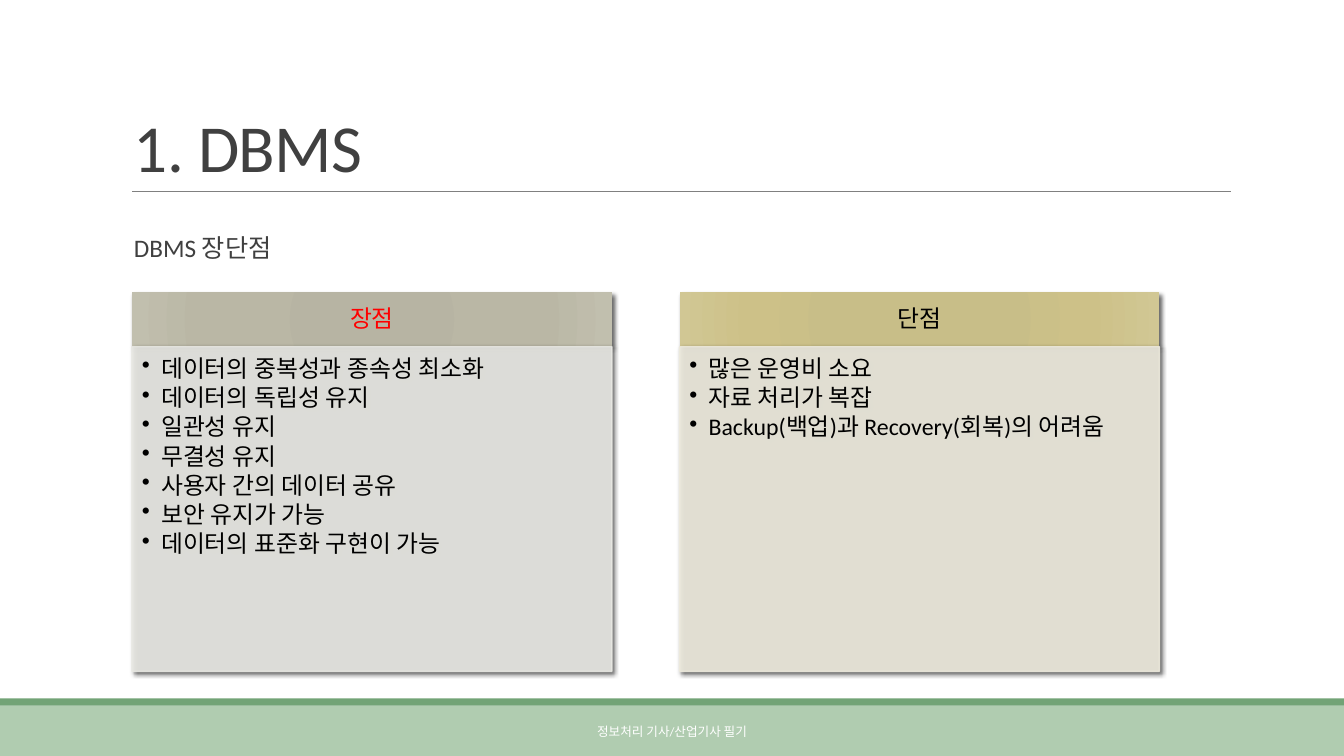
from dataclasses import dataclass

from pptx import Presentation
from pptx.dml.color import RGBColor
from pptx.enum.shapes import MSO_CONNECTOR as Connector, MSO_SHAPE as Shape
from pptx.enum.text import MSO_ANCHOR as Anchor, PP_ALIGN as Align
from pptx.oxml import parse_xml
from pptx.oxml.ns import nsdecls
from pptx.util import Inches, Pt


@dataclass(frozen=True)
class Theme:
    font: str = "Calibri"
    ink: str = "404040"
    black: str = "000000"
    white: str = "FFFFFF"
    red: str = "FF0000"
    rule: str = "808080"
    band: str = "B0CCB0"
    stripe: str = "72A376"
    pros_head: tuple = ("B5B3A1", "B7B4A3", "BAB7A5", "C1BFAE")
    pros_body: str = "E8E8E3"
    cons_head: tuple = ("C8BD85", "C8BE88", "CDC188", "D1C794")
    cons_body: str = "EDEADD"
    title: int = 48
    subtitle: int = 18
    panel: int = 17
    footer: int = 9


theme = Theme()
NS = nsdecls("a")


def write(box, lines, size, color, insets=(0.1, 0.05, 0.1, 0.05), anchor=Anchor.TOP, bullet=False, **layout):
    frame = box.text_frame
    sides = ("margin_left", "margin_top", "margin_right", "margin_bottom")
    settings = dict(zip(sides, map(Inches, insets)), word_wrap=True, vertical_anchor=anchor)
    for name, value in settings.items():
        setattr(frame, name, value)
    for index, line in enumerate(lines):
        para = frame.add_paragraph() if index else frame.paragraphs[0]
        for name, value in ({"alignment": Align.LEFT} | layout).items():
            setattr(para, name, value)
        if bullet:
            props = para._p.get_or_add_pPr()
            props.set("marL", str(Inches(0.19)))
            props.set("indent", str(Inches(-0.19)))
            props.append(parse_xml(f'<a:buChar {NS} char="•"/>'))
        span = para.add_run()
        span.text = line
        for name, value in {"name": theme.font, "size": Pt(size)}.items():
            setattr(span.font, name, value)
        span.font.color.rgb = RGBColor.from_string(color)


def add_block(page, left, top, width, height, color, shadow=False):
    block = page.shapes.add_shape(Shape.RECTANGLE, *map(Inches, (left, top, width, height)))
    block.shadow.inherit = False
    block.fill.solid()
    block.fill.fore_color.rgb = RGBColor.from_string(color)
    block.line.fill.background()
    if shadow:
        block._element.spPr.effectLst.append(parse_xml(
            f'<a:outerShdw {NS} blurRad="{Pt(3)}" dist="{Pt(2)}" dir="2700000" algn="tl" rotWithShape="0">'
            f'<a:srgbClr val="{theme.black}"><a:alpha val="60000"/></a:srgbClr></a:outerShdw>'))
    return block


deck = Presentation()
deck.slide_width, deck.slide_height = Inches(13.33), Inches(7.5)
page = deck.slides.add_slide(deck.slide_layouts[6])

add_block(page, 0, 7, 13.33, 0.5, theme.band)
add_block(page, 0, 6.93, 13.33, 0.07, theme.stripe)

rule = page.shapes.add_connector(Connector.STRAIGHT, *map(Inches, (1.31, 1.9, 12.21, 1.9)))
rule.line.color.rgb = RGBColor.from_string(theme.rule)
rule.line.width = Pt(0.5)
rule._element.spPr.append(parse_xml(f"<a:effectLst {NS}/>"))

title = page.shapes.add_textbox(*map(Inches, (1.23, 0.31, 11, 1.59)))
write(title, ["1. DBMS"], theme.title, theme.ink, anchor=Anchor.BOTTOM, line_spacing=0.85)
title.text_frame.paragraphs[0].runs[0].font._element.set("spc", "-50")

footer = page.shapes.add_textbox(*map(Inches, (4.03, 7.06, 5.27, 0.4)))
write(footer, ["정보처리 기사/산업기사 필기"], theme.footer, theme.white,
      anchor=Anchor.MIDDLE, alignment=Align.CENTER)

subtitle = page.shapes.add_textbox(*map(Inches, (1.23, 2.11, 11.44, 0.6)))
write(subtitle, ["DBMS 장단점"], theme.subtitle, theme.ink, line_spacing=1.5)

panels = [
    ("장점", theme.red, theme.pros_head, theme.pros_body,
     ["데이터의 중복성과 종속성 최소화", "데이터의 독립성 유지", "일관성 유지", "무결성 유지",
      "사용자 간의 데이터 공유", "보안 유지가 가능", "데이터의 표준화 구현이 가능"]),
    ("단점", theme.black, theme.cons_head, theme.cons_body,
     ["많은 운영비 소요", "자료 처리가 복잡", "Backup(백업)과 Recovery(회복)의 어려움"]),
]
for column, (heading, heading_color, shades, body_color, points) in enumerate(panels):
    left = 1.31 + 5.43 * column
    header = add_block(page, left, 2.9, 4.76, 0.54, shades[0], shadow=True)
    stops = "".join(f'<a:gs pos="{stop * 1000}"><a:srgbClr val="{shade}"/></a:gs>'
                    for stop, shade in zip((0, 34, 70, 100), shades))
    props = header._element.spPr
    props.replace(props.find("{*}solidFill"), parse_xml(
        f'<a:gradFill {NS} rotWithShape="1"><a:gsLst>{stops}</a:gsLst><a:path path="circle">'
        '<a:fillToRect l="100000" t="100000" r="100000" b="100000"/></a:path></a:gradFill>'))
    write(header, [heading], theme.panel, heading_color, (0.13, 0.08, 0.13, 0.08), Anchor.MIDDLE,
          alignment=Align.CENTER, line_spacing=0.9)

    body = add_block(page, left, 3.44, 4.76, 3.22, body_color, shadow=True)
    body.line.color.rgb = RGBColor.from_string(body_color)
    body.line.width = Pt(1)
    for color in body._element.spPr.iterfind("*//{*}srgbClr"):
        if color.get("val") == body_color:
            color.append(parse_xml(f'<a:alpha {NS} val="90000"/>'))
    for color in body._element.spPr.iterfind("{*}solidFill/{*}srgbClr"):
        if not len(color):
            color.append(parse_xml(f'<a:alpha {NS} val="90000"/>'))
    write(body, points, theme.panel, theme.black, (0.1, 0.1, 0.13, 0.15), bullet=True,
          line_spacing=0.9, space_after=Pt(2.5))

deck.save("out.pptx")
